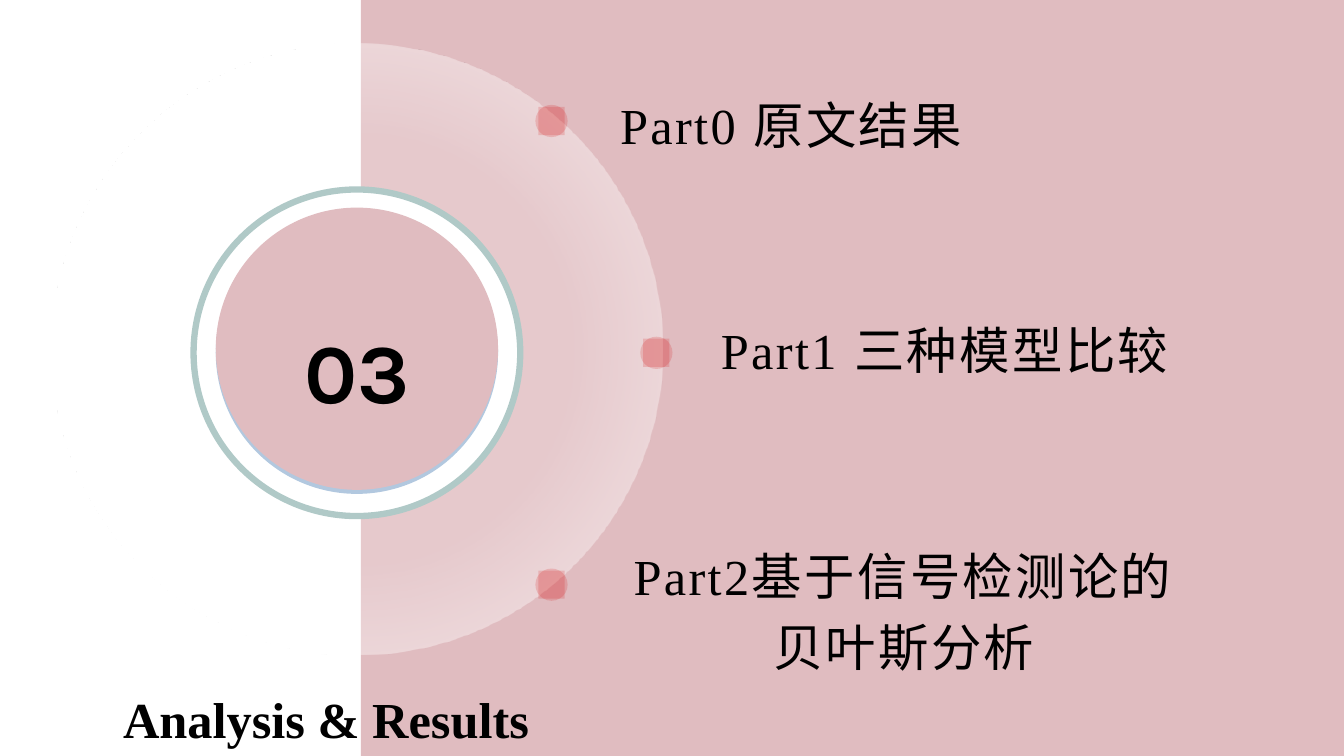
from dataclasses import dataclass

from lxml.etree import SubElement
from pptx import Presentation
from pptx.dml.color import RGBColor
from pptx.enum.shapes import MSO_SHAPE
from pptx.enum.text import MSO_ANCHOR, PP_ALIGN
from pptx.oxml import parse_xml
from pptx.oxml.ns import nsdecls, qn
from pptx.util import Inches, Pt

# Content
TITLE = "Analysis & Results"
NUMBER = "03"
# text, marker centre column, text column, text width, text rows, alignment
PARTS = [
    ("Part0 原文结果", 5.47, 6.15, 4.66, 1, PP_ALIGN.JUSTIFY),
    ("Part1 三种模型比较", 6.51, 7.15, 5.16, 1, PP_ALIGN.JUSTIFY),
    ("Part2基于信号检测论的贝叶斯分析", 5.47, 6.15, 5.63, 2, PP_ALIGN.CENTER),
]


@dataclass(frozen=True)
class Theme:
    panel: str = "E0BCC0"
    white: str = "FFFFFF"
    ring: str = "B0C9C7"
    rim: str = "B2C8DF"
    marker: str = "D40000"
    text: str = "000000"
    body_font: str = "Times New Roman"
    number_font: str = "Karla"
    body_size: int = 36
    number_size: int = 60


THEME = Theme()

# Grid: one column and one row are an inch
COLUMNS, ROWS = 13.33, 7.5
PANEL_LEFT = 3.58
HUB_X, HUB_Y = 3.54, 3.46
FIRST_MARKER_Y, MARKER_STEP = 1.2, 2.3
FIRST_LABEL_TOP, LABEL_STEP, LABEL_ROW = 0.83, 2.24, 0.7

presentation = Presentation()
presentation.slide_width = Inches(COLUMNS)
presentation.slide_height = Inches(ROWS)
slide = presentation.slides.add_slide(presentation.slide_layouts[5])


def place(shape, left, top, width, height):
    shape.left, shape.top = Inches(left), Inches(top)
    shape.width, shape.height = Inches(width), Inches(height)


def write(shape, text, *, size, font, bold=False, align=PP_ALIGN.LEFT,
          line_spacing=1.5, tracking=0, inset=None):
    frame = shape.text_frame
    frame.word_wrap = True
    frame.vertical_anchor = MSO_ANCHOR.TOP
    if inset is not None:
        frame.margin_left = frame.margin_right = Inches(inset)
        frame.margin_top = frame.margin_bottom = Inches(inset)
    paragraph = frame.paragraphs[0]
    paragraph.alignment = align
    paragraph.line_spacing = line_spacing
    run = paragraph.add_run()
    run.text = text
    run.font.size = Pt(size)
    run.font.name = font
    run.font.bold = bold
    run.font.color.rgb = RGBColor.from_string(THEME.text)
    if tracking:
        run.font._element.set("spc", str(round(tracking * 100)))


def add_centred(kind, x, y, width, height, color, opacity=None, line=None, line_width=0):
    shape = slide.shapes.add_shape(kind, 0, 0, 0, 0)
    place(shape, x - width / 2, y - height / 2, width, height)
    shape.shadow.inherit = False
    shape.fill.solid()
    shape.fill.fore_color.rgb = RGBColor.from_string(color)
    if opacity is not None:
        color_element = shape._element.spPr.find(qn("a:solidFill"))[0]
        SubElement(color_element, qn("a:alpha")).set("val", str(opacity * 1000))
    if line:
        shape.line.color.rgb = RGBColor.from_string(line)
        shape.line.width = Pt(line_width)
    else:
        shape.line.fill.background()
    return shape


def fade_from_centre(shape, color, stops):
    stop_xml = "".join(
        f'<a:gs pos="{position * 1000}"><a:srgbClr val="{color}">'
        f'<a:alpha val="{opacity * 1000}"/></a:srgbClr></a:gs>'
        for position, opacity in stops)
    gradient = parse_xml(
        f'<a:gradFill {nsdecls("a")}><a:gsLst>{stop_xml}</a:gsLst>'
        '<a:path path="circle"><a:fillToRect l="50000" t="50000" r="50000" b="50000"/>'
        '</a:path></a:gradFill>')
    properties = shape._element.spPr
    properties.replace(properties.find(qn("a:solidFill")), gradient)


# Panel and fading disc
panel_width = COLUMNS - PANEL_LEFT
add_centred(MSO_SHAPE.RECTANGLE, PANEL_LEFT + panel_width / 2, ROWS / 2,
            panel_width, ROWS, THEME.panel)
disc = add_centred(MSO_SHAPE.OVAL, HUB_X, HUB_Y, 6.06, 6.06, THEME.white)
fade_from_centre(disc, THEME.white, [(50, 20), (100, 66)])

# Hub with the section number
add_centred(MSO_SHAPE.OVAL, HUB_X, HUB_Y + 0.04, 3.24, 3.24, THEME.white,
            line=THEME.ring, line_width=4.5)
for color, drop in [(THEME.rim, 0.04), (THEME.panel, 0)]:
    add_centred(MSO_SHAPE.OVAL, HUB_X, HUB_Y + drop, 2.8, 2.8, color)
number = slide.shapes.add_textbox(0, 0, 0, 0)
place(number, HUB_X - 1.12, 2.62, 2.24, 1.61)
write(number, NUMBER, size=THEME.number_size, font=THEME.number_font,
      bold=True, align=PP_ALIGN.CENTER)

# Parts: a marker on the disc's edge and a label beside it
for index, (text, marker_x, left, width, rows, align) in enumerate(PARTS):
    marker_y = FIRST_MARKER_Y + index * MARKER_STEP
    for kind, marker_width, marker_height in [(MSO_SHAPE.OVAL, 0.32, 0.32),
                                              (MSO_SHAPE.RECTANGLE, 0.26, 0.28)]:
        add_centred(kind, marker_x, marker_y, marker_width, marker_height,
                    THEME.marker, opacity=16)
    label = slide.shapes.add_textbox(0, 0, 0, 0)
    place(label, left, FIRST_LABEL_TOP + index * LABEL_STEP, width, rows * LABEL_ROW)
    write(label, text, size=THEME.body_size, font=THEME.body_font, align=align,
          line_spacing=Pt(LABEL_ROW * 72), tracking=1.7, inset=0)

# Title, brought in front of the panel
title = slide.shapes.title
place(title, 1.12, 6.48, 4.84, 0.74)
write(title, TITLE, size=THEME.body_size, font=THEME.body_font, bold=True)
slide.shapes._spTree.append(title._element)

presentation.save("out.pptx")
